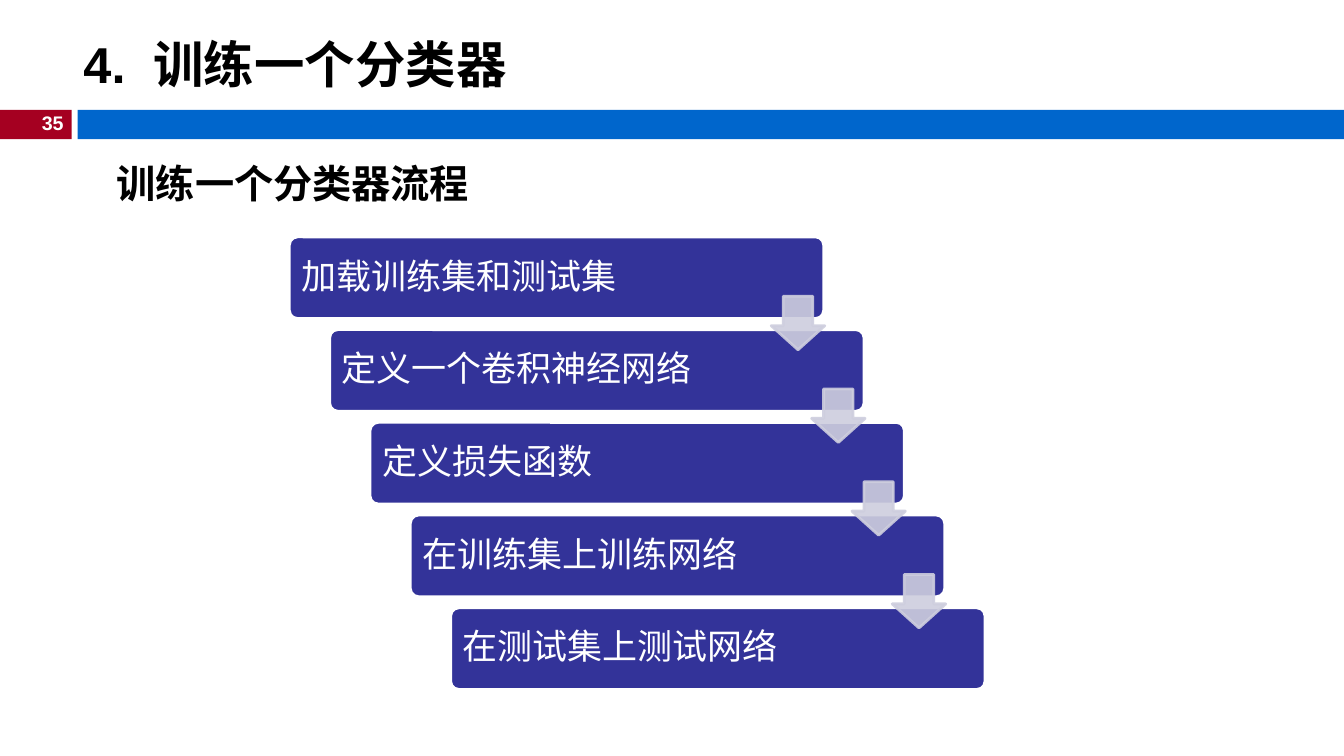
from lxml import etree
from pptx import Presentation
from pptx.dml.color import RGBColor
from pptx.enum.shapes import MSO_SHAPE as Shape
from pptx.enum.text import MSO_ANCHOR as Anchor, PP_ALIGN as Align
from pptx.oxml.ns import qn
from pptx.util import Inches, Pt

TITLE = ["4.", " ", "训练一个分类器"]
PAGE = "35"
SUBTITLE = "训练一个分类器流程"
STEPS = [
    "加载训练集和测试集",
    "定义一个卷积神经网络",
    "定义损失函数",
    "在训练集上训练网络",
    "在测试集上测试网络",
]

THEME = {
    "red": "A50021", "blue": "0066CC", "step": "333399", "arrow": "CECEDE",
    "white": "FFFFFF", "black": "000000",
    "latin": "Arial", "sub": "Roboto", "cjk": "Noto Sans CJK SC",
    "title_size": 36, "sub_size": 28, "step_size": 25, "page_size": 14,
}

BAR_Y, BAR_H = 1.09, 0.29
STEP_X, STEP_Y, STEP_W, STEP_H = 2.87, 2.35, 5.3, 0.81
SHIFT_X, SHIFT_Y = 0.4, 0.92
ARROW_DX, ARROW_DY, ARROW_SIZE = 4.78, 0.59, 0.53


def color(name):
    return RGBColor.from_string(THEME[name])


def set_alpha(color_format, percent):
    for clr in color_format.iter(qn("a:srgbClr")):
        etree.SubElement(clr, qn("a:alpha")).set("val", str(percent * 1000))


def add_block(s, kind, box, fill, line=None, adjust=(), alpha=None):
    sp = s.shapes.add_shape(kind, *map(Inches, box))
    sp.shadow.inherit = False
    sp.fill.solid()
    sp.fill.fore_color.rgb = color(fill)
    for i, value in enumerate(adjust):
        sp.adjustments[i] = value
    if line:
        sp.line.color.rgb = color(line)
        sp.line.width = Pt(2)
    else:
        sp.line.fill.background()
    if alpha:
        set_alpha(sp._element.spPr, alpha)
    return sp


def write(sp, parts, size, font="latin", fill="black", bold=False, wrap=True,
          anchor=Anchor.TOP, align=Align.LEFT, spacing=None, inset=None, gap=0):
    tf = sp.text_frame
    tf.word_wrap = wrap
    tf.vertical_anchor = anchor
    if inset is not None:
        tf.margin_left = tf.margin_right = Inches(inset)
        tf.margin_top = tf.margin_bottom = Inches(inset)
    p = tf.paragraphs[0]
    p.alignment = align
    if spacing:
        p.line_spacing = spacing
    for part in parts:
        r = p.add_run()
        r.text = part
        r.font.size = Pt(THEME[size])
        r.font.name = THEME[font]
        r.font.bold = bold
        r.font.color.rgb = color(fill)
        props = r._r.get_or_add_rPr()
        etree.SubElement(props, qn("a:ea")).set("typeface", THEME["cjk"])
        if gap and part.isspace():
            props.set("spc", str(gap * 100))


def add_text(s, box, parts, **style):
    write(s.shapes.add_textbox(*map(Inches, box)), parts, **style)


def main():
    prs = Presentation()
    prs.slide_width, prs.slide_height = Inches(13.33), Inches(7.5)
    s = prs.slides.add_slide(prs.slide_layouts[6])

    add_block(s, Shape.RECTANGLE, (0, BAR_Y, 0.71, BAR_H), "red")
    add_block(s, Shape.RECTANGLE, (0.77, BAR_Y, 12.56, BAR_H), "blue")
    add_text(s, (0.29, 1.05, 0.44, 0.34), [PAGE], size="page_size",
             fill="white", bold=True, wrap=False, align=Align.RIGHT)
    add_text(s, (0.73, 0.26, 12.6, 0.74), TITLE, size="title_size",
             bold=True, anchor=Anchor.MIDDLE, gap=10)
    add_text(s, (1.06, 1.3, 4.49, 1.51), [SUBTITLE], size="sub_size",
             font="sub", bold=True, spacing=1.5)

    corners = [(STEP_X + i * SHIFT_X, STEP_Y + i * SHIFT_Y)
               for i in range(len(STEPS))]
    for (x, y), step in zip(corners, STEPS):
        sp = add_block(s, Shape.ROUNDED_RECTANGLE, (x, y, STEP_W, STEP_H),
                       "step", line="white", adjust=[0.1])
        write(sp, [step], size="step_size", font="cjk", fill="white",
              anchor=Anchor.MIDDLE, spacing=0.9, inset=0.1)
    for x, y in corners[:-1]:
        add_block(s, Shape.DOWN_ARROW,
                  (x + ARROW_DX, y + ARROW_DY, ARROW_SIZE, ARROW_SIZE),
                  "arrow", line="arrow", adjust=[0.55, 0.45], alpha=90)

    prs.save("out.pptx")


if __name__ == "__main__":
    main()
